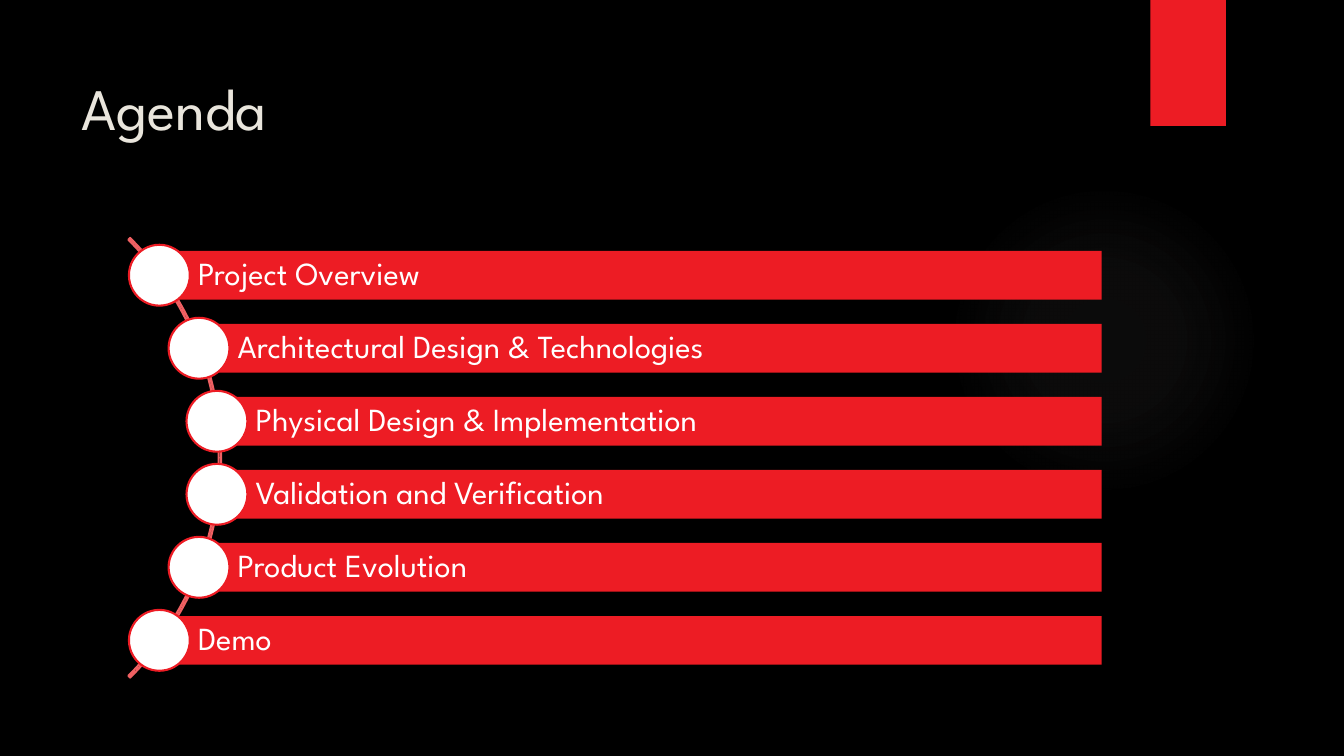
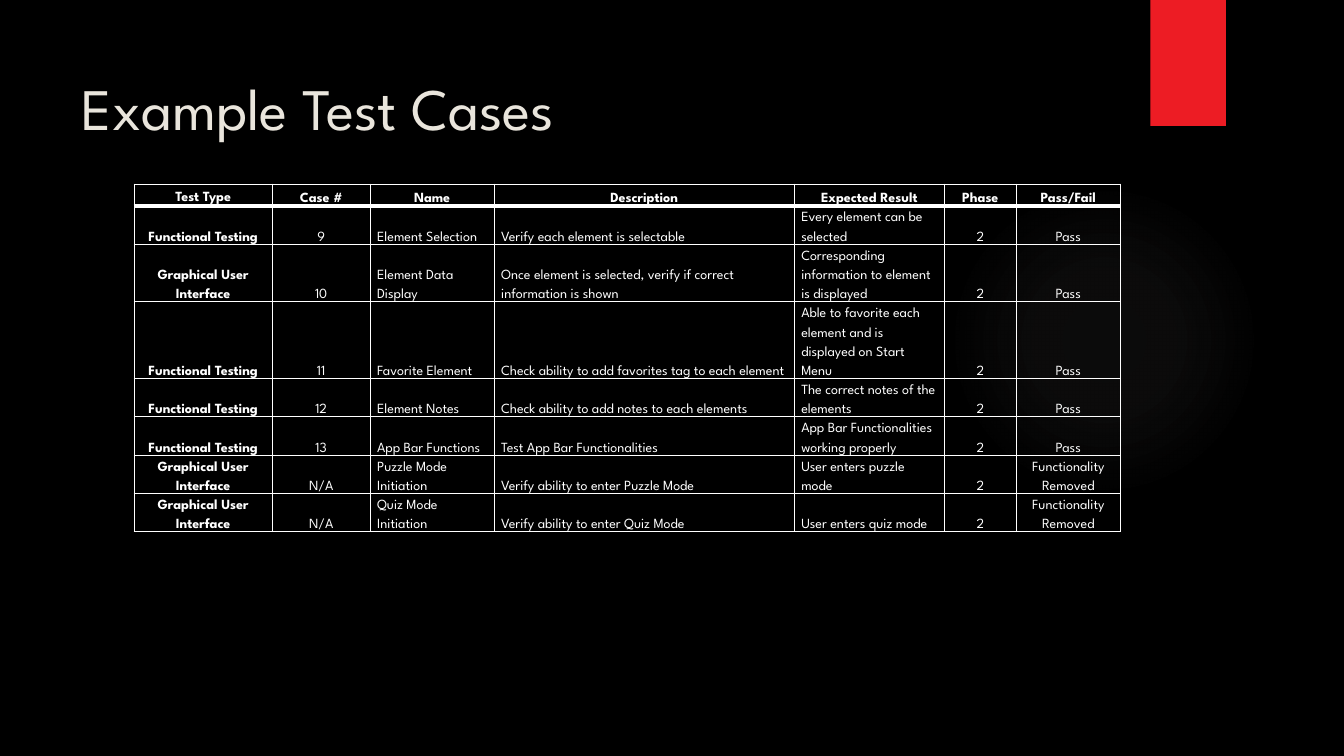
import dataclasses
import math

import pptx
import pptx.dml.color
import pptx.enum.shapes
import pptx.enum.text
import pptx.oxml
import pptx.oxml.ns
import pptx.util

Pt = pptx.util.Pt
MSO_SHAPE = pptx.enum.shapes.MSO_SHAPE
ANCHOR = pptx.enum.text.MSO_ANCHOR
ALIGN = pptx.enum.text.PP_ALIGN


@dataclasses.dataclass(frozen=True)
class Theme:
    font: str = "League Spartan"
    background: str = "000000"
    accent: str = "ED1C24"
    arc: str = "EF6062"
    glow: str = "A6A1A1"
    title: str = "E9E5DC"
    text: str = "FFFFFF"
    title_size: float = 42
    agenda_size: float = 23
    table_size: float = 10
    outline: float = 1.5
    grid: float = 1
    header_rule: float = 3


THEME = Theme()


@dataclasses.dataclass(frozen=True)
class Box:
    left: float
    top: float
    width: float
    height: float

    def lengths(self):
        return [Pt(round(v, 2)) for v in dataclasses.astuple(self)]


TITLE_BOX = Box(51, 36, 741, 110)
AGENDA_BOX = Box(92, 170, 695, 314)
TABLE_BOX = Box(95.8, 131.5, 704.5, 248)

AGENDA = [
    "Project Overview",
    "Architectural Design & Technologies",
    "Physical Design & Implementation",
    "Validation and Verification",
    "Product Evolution",
    "Demo",
]

# Heading, width and alignment of each column
COLUMNS = [
    ("Test Type", 98.6, ALIGN.CENTER),
    ("Case #", 70, ALIGN.CENTER),
    ("Name", 88.6, ALIGN.LEFT),
    ("Description", 214.4, ALIGN.LEFT),
    ("Expected Result", 107.2, ALIGN.LEFT),
    ("Phase", 51.4, ALIGN.CENTER),
    ("Pass/Fail", 74.3, ALIGN.CENTER),
]
FUNCTIONAL = "Functional Testing"
INTERFACE = "Graphical User Interface"
REMOVED = "Functionality Removed"
TEST_CASES = [
    (FUNCTIONAL, "9", "Element Selection", "Verify each element is selectable",
     "Every element can be selected", "2", "Pass"),
    (INTERFACE, "10", "Element Data Display",
     "Once element is selected, verify if correct information is shown",
     "Corresponding information to element is displayed", "2", "Pass"),
    (FUNCTIONAL, "11", "Favorite Element",
     "Check ability to add favorites tag to each element",
     "Able to favorite each element and is displayed on Start Menu", "2", "Pass"),
    (FUNCTIONAL, "12", "Element Notes", "Check ability to add notes to each elements",
     "The correct notes of the elements", "2", "Pass"),
    (FUNCTIONAL, "13", "App Bar Functions", "Test App Bar Functionalities",
     "App Bar Functionalities working properly", "2", "Pass"),
    (INTERFACE, "N/A", "Puzzle Mode Initiation", "Verify ability to enter Puzzle Mode",
     "User enters puzzle mode", "2", REMOVED),
    (INTERFACE, "N/A", "Quiz Mode Initiation", "Verify ability to enter Quiz Mode",
     "User enters quiz mode", "2", REMOVED),
]
CASE_LINES = [2, 3, 4, 2, 2, 2, 2]
LINE_HEIGHT = 13.7
HEADER_HEIGHT = 15.5


def rgb(value):
    return pptx.dml.color.RGBColor.from_string(value)


def style_text(frame, size, color, align=ALIGN.LEFT, bold=False, spacing=None):
    for paragraph in frame.paragraphs:
        paragraph.alignment = align
        paragraph.line_spacing = spacing
        for run in paragraph.runs:
            run.font.name = THEME.font
            run.font.size = Pt(size)
            run.font.bold = bold
            run.font.color.rgb = rgb(color)


def set_margins(holder, left, top, right, bottom):
    holder.margin_left, holder.margin_top = Pt(left), Pt(top)
    holder.margin_right, holder.margin_bottom = Pt(right), Pt(bottom)


def add_figure(slide, kind, box, fill=None, line=None):
    figure = slide.shapes.add_shape(kind, *box.lengths())
    figure.shadow.inherit = False
    if fill:
        figure.fill.solid()
        figure.fill.fore_color.rgb = rgb(fill)
    else:
        figure.fill.background()
    if line:
        figure.line.color.rgb = rgb(line)
        figure.line.width = Pt(THEME.outline)
    else:
        figure.line.fill.background()
    return figure


def add_backdrop(layout, slide):
    """Draw the glow and the corner tab, then hand them to the shared layout."""
    glow = add_figure(slide, MSO_SHAPE.OVAL, Box(677.5, 132, 222, 222))
    stops = "".join(
        f'<a:gs pos="{position}000"><a:srgbClr val="{THEME.glow}">'
        f'<a:alpha val="{opacity}000"/></a:srgbClr></a:gs>'
        for position, opacity in [(0, 7), (36, 6), (69, 0)])
    gradient = pptx.oxml.parse_xml(
        f'<a:gradFill {pptx.oxml.ns.nsdecls("a")}><a:gsLst>{stops}</a:gsLst>'
        '<a:path path="circle"><a:fillToRect l="50000" t="50000" r="50000" b="50000"/>'
        '</a:path></a:gradFill>')
    properties = glow.element.spPr
    properties.replace(properties.find(pptx.oxml.ns.qn("a:noFill")), gradient)

    tab = add_figure(slide, MSO_SHAPE.RECTANGLE, Box(821.7, 0, 54, 90), THEME.accent)
    for number, part in enumerate([glow, tab], start=101):
        part.element.nvSpPr.cNvPr.set("id", str(number))
        layout.shapes.element.append(part.element)


def add_title(slide, box, text):
    title = slide.shapes.title
    title.left, title.top, title.width, title.height = box.lengths()
    frame = title.text_frame
    frame.text = text
    frame.word_wrap = True
    frame.auto_size = pptx.enum.text.MSO_AUTO_SIZE.NONE
    frame.vertical_anchor = ANCHOR.TOP
    set_margins(frame, 7.2, 15, 7.2, 3.6)
    style_text(frame, THEME.title_size, THEME.title)


def add_agenda(slide, box, topics):
    pitch = box.height / 6.02
    bar_height, node_size = pitch * 2 / 3, pitch * 5 / 6
    middle = box.top + box.height / 2
    arc_radius = box.height / math.sqrt(2)
    arc_center = box.left - arc_radius / math.sqrt(2) + 1
    node_radius = arc_radius - 1.5

    # Curve behind the topics, from 315 to 45 degrees
    curve = add_figure(
        slide, MSO_SHAPE.BLOCK_ARC,
        Box(arc_center - arc_radius, middle - arc_radius, 2 * arc_radius, 2 * arc_radius),
        line=THEME.arc)
    for index, value in enumerate([189, 27, 0.004]):
        curve.adjustments[index] = value

    # One bar and node per topic, starting on the curve
    for index, topic in enumerate(topics):
        offset = (index - (len(topics) - 1) / 2) * pitch
        x = arc_center + math.sqrt(node_radius ** 2 - offset ** 2)
        y = middle + offset
        bar = add_figure(
            slide, MSO_SHAPE.RECTANGLE,
            Box(x, y - bar_height / 2, box.left + box.width - x, bar_height), THEME.accent)
        frame = bar.text_frame
        frame.text = topic
        frame.word_wrap = True
        frame.vertical_anchor = ANCHOR.MIDDLE
        set_margins(frame, 27.6, 4.6, 4.6, 4.6)
        style_text(frame, THEME.agenda_size, THEME.text, spacing=0.9)
        add_figure(
            slide, MSO_SHAPE.OVAL,
            Box(x - node_size / 2, y - node_size / 2, node_size, node_size),
            THEME.text, THEME.accent)


def set_borders(cell, top, bottom):
    widths = {"lnL": THEME.grid, "lnR": THEME.grid, "lnT": top, "lnB": bottom}
    properties = cell._tc.get_or_add_tcPr()
    for index, (side, width) in enumerate(widths.items()):
        properties.insert(index, pptx.oxml.parse_xml(
            f'<a:{side} {pptx.oxml.ns.nsdecls("a")} w="{Pt(width)}"><a:solidFill>'
            f'<a:srgbClr val="{THEME.text}"/></a:solidFill></a:{side}>'))


def add_test_cases(slide, box, columns, cases):
    headings, widths, alignments = zip(*columns)
    rows = [headings, *cases]
    table = slide.shapes.add_table(len(rows), len(columns), *box.lengths()).table
    table.first_row = table.horz_banding = False
    for column, width in zip(table.columns, widths):
        column.width = Pt(width)
    heights = [HEADER_HEIGHT] + [lines * LINE_HEIGHT for lines in CASE_LINES]
    for row, height in zip(table.rows, heights):
        row.height = Pt(round(height, 2))

    for r, values in enumerate(rows):
        for c, value in enumerate(values):
            cell = table.cell(r, c)
            cell.text_frame.text = value
            cell.vertical_anchor = ANCHOR.MIDDLE if r == c == 0 else ANCHOR.BOTTOM
            set_margins(cell, 5, 0, 5, 0)
            cell.fill.background()
            set_borders(cell,
                        top=THEME.header_rule if r == 1 else THEME.grid,
                        bottom=THEME.header_rule if r == 0 else THEME.grid)
            style_text(cell.text_frame, THEME.table_size, THEME.text,
                       ALIGN.CENTER if r == 0 else alignments[c],
                       bold=r == 0 or c == 0, spacing=1.5)


def main():
    deck = pptx.Presentation()
    deck.slide_width, deck.slide_height = Pt(960), Pt(540)
    backdrop = deck.slide_master.background.fill
    backdrop.solid()
    backdrop.fore_color.rgb = rgb(THEME.background)
    title_only = deck.slide_layouts[5]

    # Agenda
    agenda = deck.slides.add_slide(title_only)
    add_backdrop(title_only, agenda)
    add_title(agenda, TITLE_BOX, "Agenda")
    add_agenda(agenda, AGENDA_BOX, AGENDA)

    # Test cases
    testing = deck.slides.add_slide(title_only)
    add_title(testing, TITLE_BOX, "Example Test Cases")
    add_test_cases(testing, TABLE_BOX, COLUMNS, TEST_CASES)

    deck.save("out.pptx")


if __name__ == "__main__":
    main()
